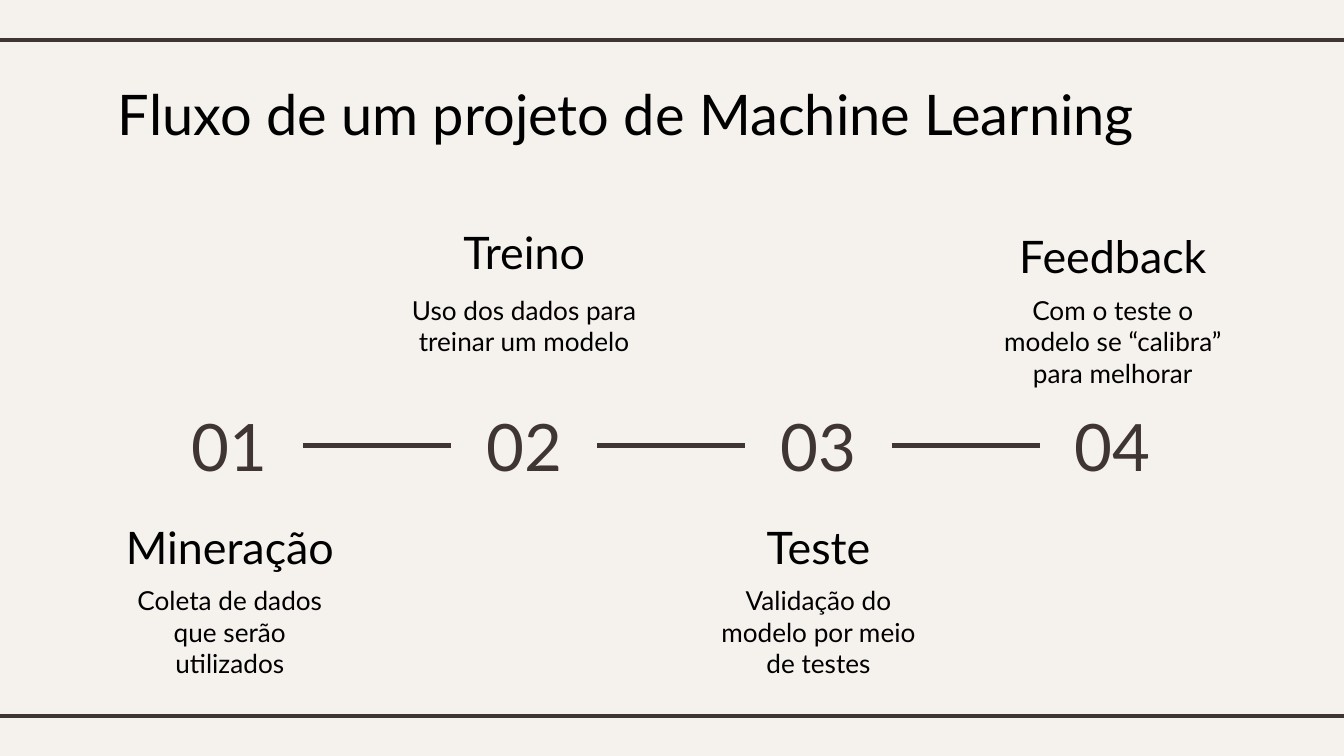
from pptx import Presentation
from pptx.dml.color import RGBColor
from pptx.enum.shapes import MSO_CONNECTOR
from pptx.enum.text import MSO_ANCHOR, PP_ALIGN
from pptx.oxml.ns import qn
from pptx.util import Inches, Pt
from lxml import etree

STRAIGHT = MSO_CONNECTOR.STRAIGHT
LEFT, CENTER = PP_ALIGN.LEFT, PP_ALIGN.CENTER
TOP, MIDDLE = MSO_ANCHOR.TOP, MSO_ANCHOR.MIDDLE
LEFT_SIDE, RIGHT_SIDE = 1, 3

COLORS = {"background": "F5F2EE", "accent": "3F3533", "text": "000000"}
FONT = "Lato"
CELL = Inches(0.1)  # side of one grid column and row
COLUMNS, ROWS = 100, 56.25

FORMATS = {
    "title": {"size": 30, "color": "text", "align": LEFT, "anchor": TOP},
    "heading": {"size": 24, "color": "text", "align": CENTER, "anchor": MIDDLE},
    "body": {"size": 14, "color": "text", "align": CENTER, "anchor": TOP},
    "number": {"size": 35, "color": "accent", "align": CENTER, "anchor": MIDDLE},
}

# Heading, description, heading row, description row
STEPS = [
    ("Mineração", "Coleta de dados que serão utilizados", 38.7, 42.5),
    ("Treino", "Uso dos dados para treinar um modelo", 16.8, 20.9),
    ("Teste", "Validação do modelo por meio de testes", 38.7, 42.5),
    ("Feedback", "Com o teste o modelo se “calibra” para melhorar", 17.1, 20.9),
]
STEP_PITCH, STEP_WIDTH, NUMBER_WIDTH = 21.9, 18.8, 10.9


def grid(*cells):
    return [round(cell * CELL) for cell in cells]


def add_text(slide, box, wording, role):
    style = FORMATS[role]
    label = slide.shapes.add_textbox(*grid(*box))
    frame = label.text_frame
    margins = dict.fromkeys(
        ("margin_left", "margin_top", "margin_right", "margin_bottom"), CELL)
    for name, value in {**margins, "word_wrap": True,
                        "vertical_anchor": style["anchor"]}.items():
        setattr(frame, name, value)
    paragraph = frame.paragraphs[0]
    paragraph.alignment = style["align"]
    run = paragraph.add_run()
    run.text = wording
    for name, value in {"name": FONT, "size": Pt(style["size"])}.items():
        setattr(run.font, name, value)
    run.font.color.rgb = RGBColor.from_string(COLORS[style["color"]])
    return label


def add_rule(slide, start, end):
    rule = slide.shapes.add_connector(STRAIGHT, *grid(*start, *end))
    rule.line.width = Pt(2.25)
    rule.line.color.rgb = RGBColor.from_string(COLORS["accent"])
    etree.SubElement(rule._element.spPr, qn("a:effectLst"))
    return rule


def add_frame_rules(slide, box):
    left, top, width, height = box
    for row in (top, top + height):
        add_rule(slide, (left, row), (left + width, row))


def add_timeline(slide, box):
    """Place the numbers at the step centres and join neighbours."""
    left, top, _, height = box
    offset = (STEP_WIDTH - NUMBER_WIDTH) / 2
    numbers = [
        add_text(slide, (left + offset + index * STEP_PITCH, top,
                         NUMBER_WIDTH, height), f"{index + 1:02}", "number")
        for index in range(len(STEPS))
    ]
    for current, following in zip(numbers, numbers[1:]):
        link = add_rule(slide, (left, top), (left, top))
        link.begin_connect(current, RIGHT_SIDE)
        link.end_connect(following, LEFT_SIDE)


def add_steps(slide, box):
    left, top, _, _ = box
    for index, (heading, description, heading_row, body_row) in enumerate(STEPS):
        column = left + index * STEP_PITCH
        add_text(slide, (column, top + heading_row, STEP_WIDTH, 3.9),
                 heading, "heading")
        add_text(slide, (column, top + body_row, STEP_WIDTH, 6.3),
                 description, "body")


def main():
    deck = Presentation()
    deck.slide_width, deck.slide_height = grid(COLUMNS, ROWS)
    slide = deck.slides.add_slide(deck.slide_layouts[6])
    fill = slide.background.fill
    fill.solid()
    fill.fore_color.rgb = RGBColor.from_string(COLORS["background"])

    add_frame_rules(slide, (-0.8, 3, COLUMNS + 1.6, 50.3))
    add_text(slide, (7.8, 4.9, 84.4, 6.3),
             "Fluxo de um projeto de Machine Learning", "title")
    add_steps(slide, (7.7, 0, 84.5, ROWS))
    add_timeline(slide, (7.7, 29.5, 84.5, 7.3))
    deck.save("out.pptx")


if __name__ == "__main__":
    main()
